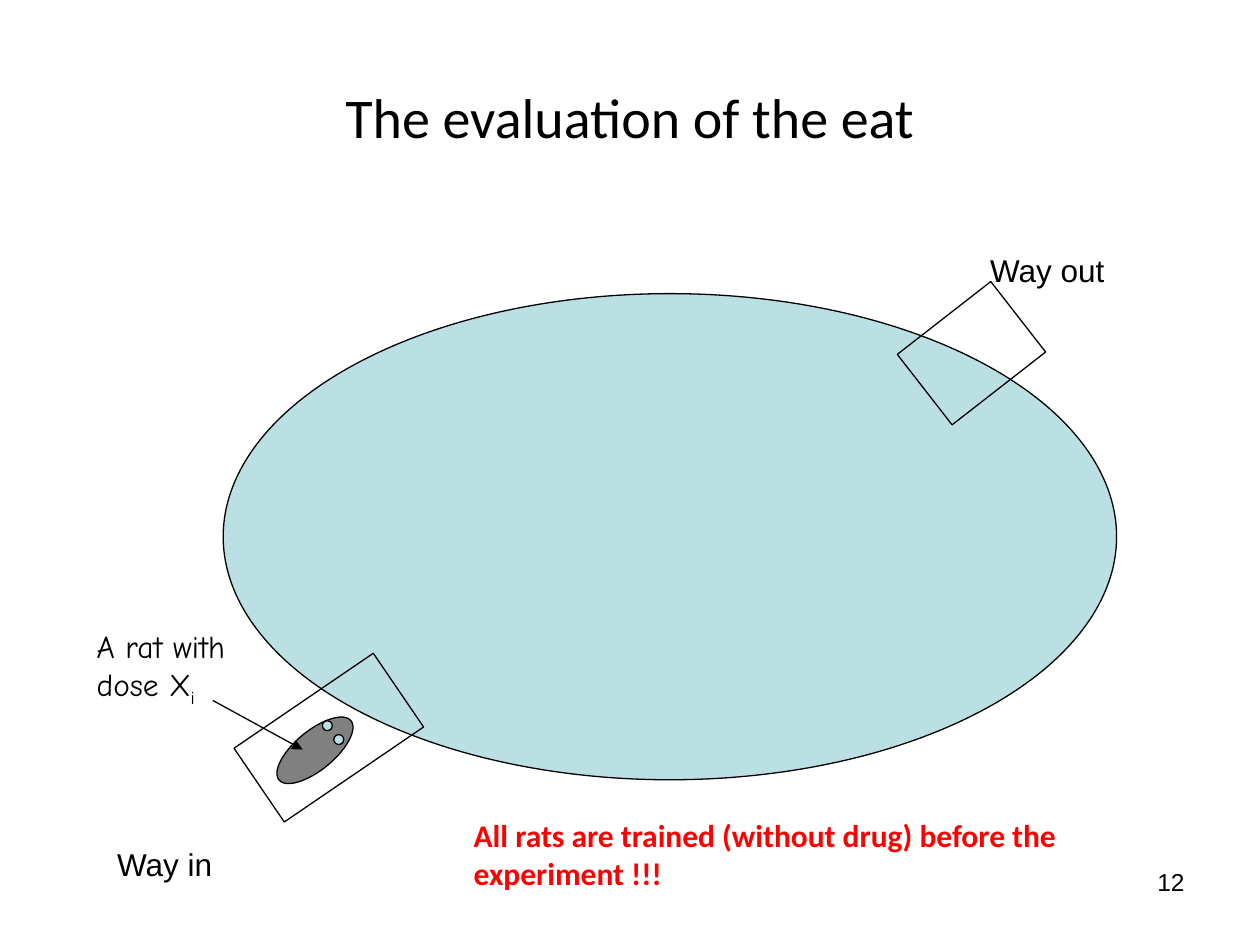
from lxml import etree
from pptx import Presentation
from pptx.dml.color import RGBColor
from pptx.enum import shapes, text
from pptx.oxml import ns
from pptx.util import Cm, Pt

BLACK = RGBColor(0x00, 0x00, 0x00)
RED = RGBColor(0xFF, 0x00, 0x00)
POOL_BLUE = RGBColor(0xBB, 0xE0, 0xE3)
RAT_GREY = RGBColor(0x80, 0x80, 0x80)
OUTLINE = Pt(0.75)
OVAL = shapes.MSO_SHAPE.OVAL
GATE = shapes.MSO_SHAPE.RECTANGLE


def style_run(run, font_name, size, color=BLACK, bold=False):
    run.font.name = font_name
    run.font.size = Pt(size)
    run.font.color.rgb = color
    run.font.bold = bold


def set_title(slide, wording):
    title = slide.shapes.title
    title.left, title.top, title.width, title.height = (
        Cm(1.27), Cm(0.76), Cm(22.86), Cm(3.18))
    frame = title.text_frame
    frame.text = wording
    frame.vertical_anchor = text.MSO_ANCHOR.MIDDLE
    frame.paragraphs[0].alignment = text.PP_ALIGN.CENTER
    style_run(frame.paragraphs[0].runs[0], "Calibri", 32)


def add_outlined(slide, preset, box, fill=None, rotation=0):
    """Add a black-outlined shape; without a fill it is see-through."""
    figure = slide.shapes.add_shape(preset, *map(Cm, box))
    figure.shadow.inherit = False
    figure.rotation = rotation
    figure.line.color.rgb = BLACK
    figure.line.width = OUTLINE
    if fill is None:
        figure.fill.background()
    else:
        figure.fill.solid()
        figure.fill.fore_color.rgb = fill


def add_label(slide, wording, box, font_name="Arial", size=18, color=BLACK,
              bold=False, align=text.PP_ALIGN.LEFT):
    frame = slide.shapes.add_textbox(*map(Cm, box)).text_frame
    frame.word_wrap = True
    frame.text = wording
    paragraph = frame.paragraphs[0]
    paragraph.alignment = align
    style_run(paragraph.runs[0], font_name, size, color, bold)
    return paragraph


def add_subscript(paragraph, wording, font_name, size):
    run = paragraph.add_run()
    run.text = wording
    style_run(run, font_name, size)
    run._r.get_or_add_rPr().set("baseline", "-25000")


def add_arrow(slide, start, end):
    arrow = slide.shapes.add_connector(
        shapes.MSO_CONNECTOR.STRAIGHT, *map(Cm, start + end))
    arrow.line.color.rgb = BLACK
    arrow.line.width = OUTLINE
    head = etree.SubElement(arrow.line._get_or_add_ln(), ns.qn("a:tailEnd"))
    head.set("type", "triangle")
    etree.SubElement(arrow._element.spPr, ns.qn("a:effectLst"))


def main():
    deck = Presentation()
    deck.slide_width, deck.slide_height = Cm(25.4), Cm(19.05)
    slide = deck.slides.add_slide(deck.slide_layouts[5])
    set_title(slide, "The evaluation of the eat")

    add_outlined(slide, OVAL, (4.5, 5.92, 18.01, 9.8), POOL_BLUE)
    add_outlined(slide, GATE, (4.93, 13.97, 3.4, 1.8), rotation=325.7)
    add_outlined(slide, GATE, (18.39, 6.22, 2.39, 1.8), rotation=322.1)
    add_label(slide, "Way out", (19.71, 4.93, 3, 1.02))
    add_label(slide, "Way in", (2.11, 16.92, 3.81, 1.02))

    add_outlined(slide, OVAL, (5.41, 14.73, 1.88, 0.79), RAT_GREY, 320.5)
    dose = add_label(slide, "A rat with dose X", (1.7, 12.52, 3.61, 1.88),
                     "Comic Neue")
    add_subscript(dose, "i", "Comic Neue", 18)
    add_arrow(slide, (4.29, 14.12), (6.1, 15.11))
    for eye_left, eye_top in ((6.5, 14.53), (6.73, 14.81)):
        add_outlined(slide, OVAL, (eye_left, eye_top, 0.2, 0.2), POOL_BLUE)

    add_label(slide,
              "All rats are trained (without drug) before the experiment !!!",
              (9.3, 16.33, 14.81, 1.78), "Calibri", color=RED, bold=True)
    add_label(slide, "12", (18.21, 17.35, 5.92, 1.32), size=14,
              align=text.PP_ALIGN.RIGHT)
    deck.save("out.pptx")


if __name__ == "__main__":
    main()
